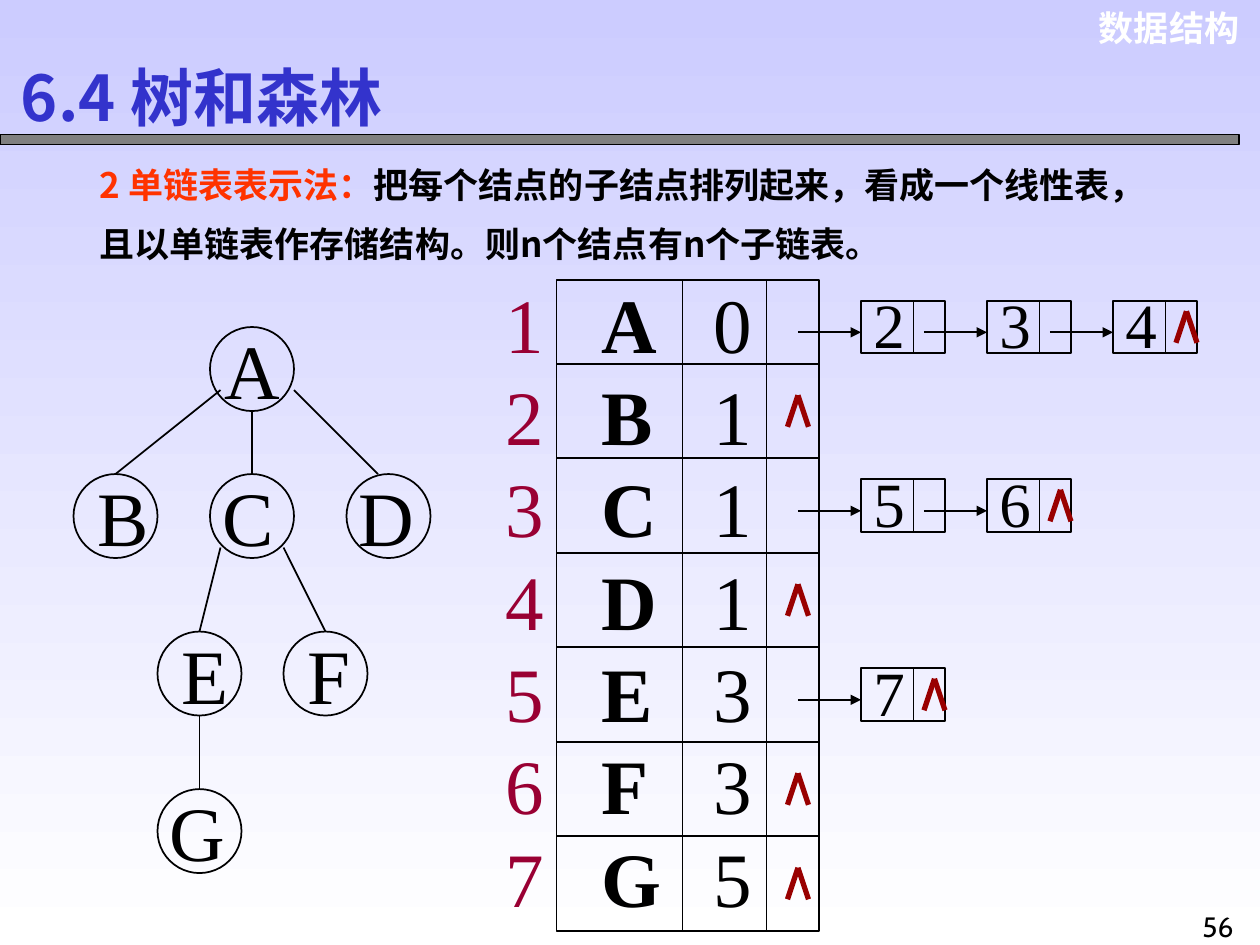
from lxml.etree import SubElement
from pptx import Presentation
from pptx.dml.color import RGBColor
from pptx.enum.shapes import MSO_CONNECTOR, MSO_SHAPE
from pptx.enum.text import MSO_ANCHOR, MSO_AUTO_SIZE, PP_ALIGN
from pptx.oxml.ns import qn
from pptx.util import Inches, Pt

COLORS = {
    "black": "000000", "white": "FFFFFF", "sky": "CCCCFF", "bar": "808080",
    "title": "3333CC", "topic": "FF3300", "index": "990033", "null": "990000",
}
SERIF, HEITI = "Times New Roman", "Noto Sans CJK SC"
COLUMNS, ROWS = 120, 90  # grid of the slide, twelve steps to the inch


def color(name):
    return RGBColor.from_string(COLORS[name])


class SlideBuilder:
    """Holds the style and the slide; lengths are grid columns and rows."""

    def __init__(self, presentation):
        self.step_x = presentation.slide_width / COLUMNS
        self.step_y = presentation.slide_height / ROWS
        self.slide = presentation.slides.add_slide(presentation.slide_layouts[5])
        self.shapes = self.slide.shapes

    def place(self, left, top, width, height):
        return (round(left * self.step_x), round(top * self.step_y),
                round(width * self.step_x), round(height * self.step_y))

    def background(self, first, last):
        fill = self.slide.background.fill
        fill.gradient()
        fill.gradient_angle = 270
        for stop, name, position in zip(fill.gradient_stops, (first, last), (0, 1)):
            stop.color.rgb = color(name)
            stop.position = position

    def style(self, paragraph, size, font, name=None, bold=None, align=PP_ALIGN.LEFT):
        paragraph.alignment = align
        paragraph.font.size = Pt(size)
        paragraph.font.name = font
        paragraph.font.bold = bold
        if name:
            paragraph.font.color.rgb = color(name)
        if font == HEITI:
            properties = paragraph._p.pPr.find(qn("a:defRPr"))
            SubElement(properties, qn("a:ea")).set("typeface", font)

    def title(self, text, box):
        shape = self.shapes.title
        shape.left, shape.top, shape.width, shape.height = self.place(*box)
        frame = shape.text_frame
        frame.text = text
        frame.auto_size = MSO_AUTO_SIZE.NONE
        frame.vertical_anchor = MSO_ANCHOR.MIDDLE
        self.style(frame.paragraphs[0], 36, HEITI, "title", True)

    def text(self, lines, box, size, font, tabs=(), spacing=None, wrap=True, **style):
        """Each line is a list of (text, color, bold) runs."""
        frame = self.shapes.add_textbox(*self.place(*box)).text_frame
        frame.word_wrap = wrap
        for number, runs in enumerate(lines):
            paragraph = frame.add_paragraph() if number else frame.paragraphs[0]
            if tabs:
                tab_list = SubElement(paragraph._p.get_or_add_pPr(), qn("a:tabLst"))
                for stop in tabs:
                    tab = SubElement(tab_list, qn("a:tab"))
                    tab.set("pos", str(Inches(stop)))
                    tab.set("algn", "l")
            if spacing:
                paragraph.line_spacing = spacing
            self.style(paragraph, size, font, **style)
            for words, name, bold in runs:
                run = paragraph.add_run()
                run.text = words
                run.font.color.rgb = color(name)
                run.font.bold = bold

    def shape(self, kind, box, fill=None, weight=1):
        shape = self.shapes.add_shape(kind, *self.place(*box))
        shape.shadow.inherit = False
        if fill:
            shape.fill.solid()
            shape.fill.fore_color.rgb = color(fill)
        else:
            shape.fill.background()
        shape.line.color.rgb = color("black")
        shape.line.width = Pt(weight)

    def line(self, start, end, name="black", weight=1, arrow=False):
        connector = self.shapes.add_connector(
            MSO_CONNECTOR.STRAIGHT, *self.place(*start, *end))
        connector.line.color.rgb = color(name)
        connector.line.width = Pt(weight)
        properties = connector._element.spPr
        if arrow:
            SubElement(properties.find(qn("a:ln")), qn("a:tailEnd")).set("type", "triangle")
        SubElement(properties, qn("a:effectLst"))

    def null_mark(self, x, y):
        for side in (-1, 1):
            self.line((x, y), (x + side, y + 3), "null", 3)

    def tree_node(self, letter, left, top, shift):
        self.shape(MSO_SHAPE.OVAL, (left, top, 8, 8))
        self.text([[(letter, "black", False)]], (left + shift, top - 1, 7.5, 10),
                  44, SERIF, wrap=False)

    def chain(self, values, top):
        first, pitch = 82, 12
        self.text([[("\t".join(values), "black", False)]],
                  (first, top - 2, pitch * len(values), 8.4), 36, SERIF, tabs=(1, 2))
        for position in range(len(values)):
            left = first + pitch * position
            self.shape(MSO_SHAPE.RECTANGLE, (left, top, 8, 5))
            self.line((left + 5, top), (left + 5, top + 5))
            self.line((left - 6, top + 3), (left, top + 3), arrow=True)
        self.null_mark(left + 7, top + 1)


def main():
    presentation = Presentation()
    presentation.slide_width, presentation.slide_height = Inches(10), Inches(7.5)
    builder = SlideBuilder(presentation)

    # Heading, course name and page number
    builder.background("sky", "white")
    builder.text([[("数据结构", "white", True)]], (102.8, 0, 16.4, 5.3), 20, "Arial",
                 align=PP_ALIGN.RIGHT)
    builder.shape(MSO_SHAPE.RECTANGLE, (0, 12.8, 118, 1), "bar", 0.75)
    builder.title("6.4 树和森林", (0.8, 5.8, 41.5, 6.8))
    builder.text([[("56", "black", False)]], (113, 86, 6, 4), 16, "Cabin",
                 align=PP_ALIGN.CENTER)

    # Explanation
    builder.text([[
        ("2 单链表表示法：", "topic", True),
        ("把每个结点的子结点排列起来，看成一个线性表，且以单链表作存储结构。"
         "则n个结点有n个子链表。", "black", True),
    ]], (8.3, 13.4, 104.3, 12.5), 20, HEITI, spacing=1.4)

    # Tree: left, top and letter shift of each node
    nodes = {
        "A": (20, 31.15, 0.2), "B": (7, 45.15, 1.1), "C": (20, 45.15, 0),
        "D": (33, 45.15, 0), "E": (15, 60.15, 1.1), "F": (27, 60.15, 1.1),
        "G": (15, 75.15, 0),
    }
    for letter, position in nodes.items():
        builder.tree_node(letter, *position)
    # Each edge leaves the parent at an offset and meets the top of the child
    edges = [("AB", 1, 6), ("AC", 4, 8), ("AD", 8, 6),
             ("CE", 1, 7), ("CF", 7, 7), ("EG", 4, 8)]
    for (parent, child), offset_x, offset_y in edges:
        parent_left, parent_top, _ = nodes[parent]
        child_left, child_top, _ = nodes[child]
        end_x = child_left + (3 if child == "D" else 4)
        builder.line((parent_left + offset_x, parent_top + offset_y), (end_x, child_top))

    # Array of nodes with their parents
    left, top, right, bottom = 53, 26.65, 78, 88.65
    builder.shape(MSO_SHAPE.RECTANGLE, (left, top, right - left, bottom - top))
    for row in range(6):
        y = top + 8 + 9 * row
        builder.line((left, y), (right, y))
    for x in (65, 73):
        builder.line((x, top), (x, bottom))
    builder.text(
        [[(f"{index}\t", "index", False), (f"{letter}\t", "black", True),
          (parent, "black", False)]
         for index, (letter, parent) in enumerate(zip("ABCDEFG", "0111335"), 1)],
        (47, 25.7, 26, 62.8), 44, SERIF, tabs=(0.76, 1.65))

    # Child chains, and null marks for nodes without children
    for values, chain_top in (("234", 28.65), ("56", 45.65), ("7", 63.65)):
        builder.chain(values, chain_top)
    for row in (1, 3, 5, 6):
        builder.null_mark(76, top + 2 + 9 * row)

    presentation.save("out.pptx")


if __name__ == "__main__":
    main()
